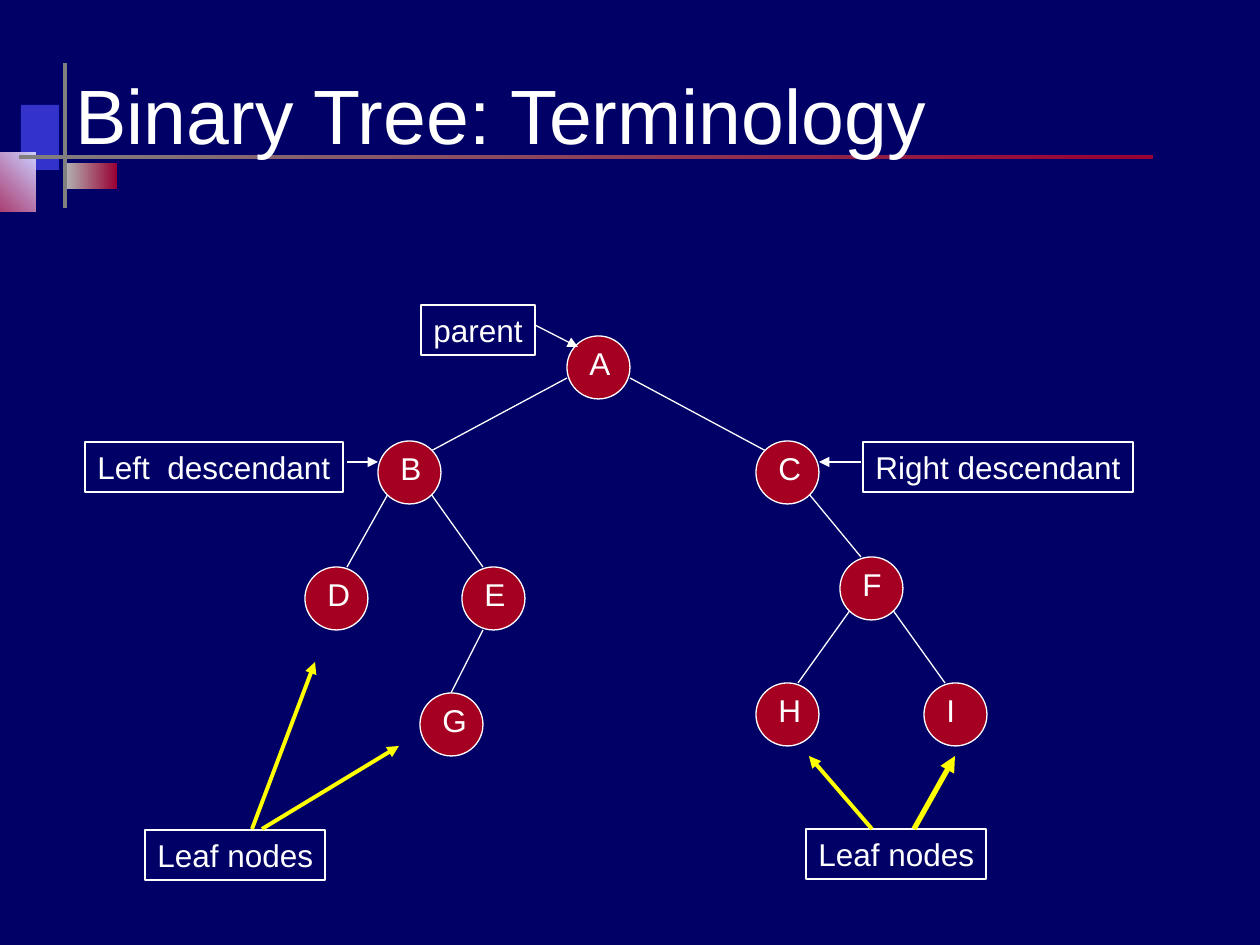
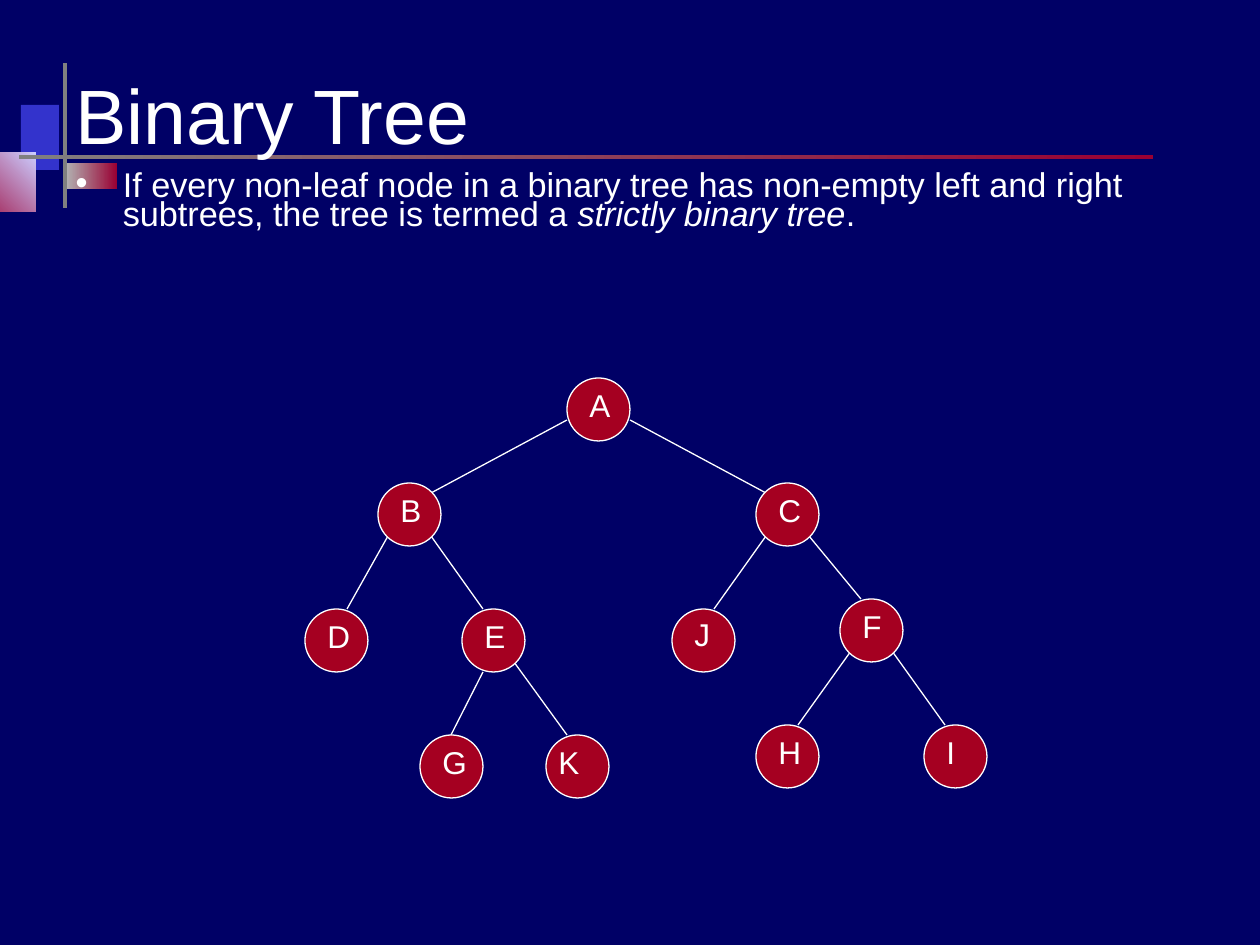
"""Builds two slides on binary trees: terminology and the strictly binary tree."""
from lxml import etree
from pptx import Presentation
from pptx import util as u
from pptx.dml.color import RGBColor
from pptx.enum import shapes, text
from pptx.oxml.ns import qn

PX = 914400 / 126
NAVY = RGBColor(0x00, 0x00, 0x66)
WHITE = RGBColor(0xFF, 0xFF, 0xFF)
CRIMSON = RGBColor(0xA5, 0x00, 0x21)
YELLOW = RGBColor(0xFF, 0xFF, 0x00)
BLUE = RGBColor(0x33, 0x33, 0xCC)
LAVENDER = RGBColor(0xCC, 0xCC, 0xFF)
MAROON = RGBColor(0x99, 0x00, 0x33)
GREY = RGBColor(0x80, 0x80, 0x80)
SILVER = RGBColor(0xB2, 0xB2, 0xB2)

NODE = 63
TREE_NODES = {
    "A": (567, 336), "B": (378, 441), "C": (756, 441),
    "D": (305, 567), "E": (462, 567), "F": (840, 557),
    "G": (420, 693), "H": (756, 683), "I": (924, 683),
}
TREE_EDGES = [
    (567, 378, 431, 451), (630, 378, 766, 451),
    (388, 494, 347, 567), (431, 494, 483, 567),
    (483, 630, 451, 693), (809, 494, 861, 557),
    (851, 609, 798, 683), (892, 609, 945, 683),
]
STRICT_NODES = {"J": (672, 567), "K": (546, 693)}
STRICT_EDGES = [(766, 494, 714, 567), (514, 620, 567, 693)]
LETTER_OFFSETS = {"J": (10, 0), "K": (0, 2)}
ANNOTATIONS = [
    ("parent", 421, 305, 114), ("Left  descendant", 85, 442, 258),
    ("Right descendant", 863, 442, 270),
    ("Leaf nodes", 145, 830, 180), ("Leaf nodes", 806, 829, 180),
]
POINTERS = [
    (535, 325, 578, 347, WHITE, 0.75), (347, 462, 378, 462, WHITE, 0.75),
    (861, 462, 819, 462, WHITE, 0.75),
    (252, 829, 315, 662, YELLOW, 2.25), (262, 829, 399, 746, YELLOW, 2.25),
    (872, 829, 809, 756, YELLOW, 2.25), (914, 829, 955, 756, YELLOW, 3),
]
ORNAMENTS = [
    (21, 105, 38, 65, [BLUE], 0), (66, 163, 51, 26, [SILVER, MAROON], 0),
    (-42, 153, 78, 59, [MAROON, LAVENDER], 45), (63, 63, 4, 145, [GREY], 0),
    (19, 155, 1134, 4, [GREY, MAROON], 0),
]
SLIDES = [
    ("Binary Tree: Terminology", 5, 0, TREE_NODES, TREE_EDGES),
    ("Binary Tree", 1, 42, TREE_NODES | STRICT_NODES, TREE_EDGES + STRICT_EDGES),
]
DEFINITION = [
    ("If every non-leaf node in a binary tree has non-empty left and right "
     "subtrees, the tree is termed a ", False),
    ("strictly binary tree", True), (".", False),
]


def add_run(paragraph, wording, size, italic=False):
    run = paragraph.add_run()
    run.text = wording
    run.font.name = "Arial"
    run.font.size = u.Pt(size)
    run.font.italic = italic
    run.font.color.rgb = WHITE


def add_line(slide, ends, colour=WHITE, width=0.75, arrow=False):
    line = slide.shapes.add_connector(
        shapes.MSO_CONNECTOR.STRAIGHT, *[round(v * PX) for v in ends])
    line.line.color.rgb = colour
    line.line.width = u.Pt(width)
    properties = line.element.spPr
    if arrow:
        etree.SubElement(properties.find(qn("a:ln")), qn("a:tailEnd"), type="triangle")
    etree.SubElement(properties, qn("a:effectLst"))


prs = Presentation()
prs.slide_width, prs.slide_height = round(1260 * PX), round(945 * PX)
master = prs.slide_master
master.background.fill.solid()
master.background.fill.fore_color.rgb = NAVY

deck = []
for heading, layout, drop, nodes, edges in SLIDES:
    slide = prs.slides.add_slide(prs.slide_layouts[layout])
    deck.append(slide)
    title = slide.shapes.title
    title.left, title.top, title.width, title.height = [
        round(v * PX) for v in (63, 51, 1134, 126)]
    title.text_frame.vertical_anchor = text.MSO_ANCHOR.MIDDLE
    title.text_frame.auto_size = text.MSO_AUTO_SIZE.NONE
    title.text_frame.paragraphs[0].alignment = text.PP_ALIGN.LEFT
    add_run(title.text_frame.paragraphs[0], heading, 44)

    for x1, y1, x2, y2 in edges:
        add_line(slide, (x1, y1 + drop, x2, y2 + drop))
    for letter, (x, y) in nodes.items():
        node = slide.shapes.add_shape(
            shapes.MSO_SHAPE.OVAL,
            *[round(v * PX) for v in (x, y + drop, NODE, NODE)])
        node.shadow.inherit = False
        node.fill.solid()
        node.fill.fore_color.rgb = CRIMSON
        node.line.color.rgb = WHITE
        node.line.width = u.Pt(0.75)
        dx, dy = LETTER_OFFSETS.get(letter, (10, 2))
        caption = slide.shapes.add_textbox(
            *[round(v * PX) for v in (x + dx, y + dy + drop, 53, 50)])
        caption.text_frame.word_wrap = True
        add_run(caption.text_frame.paragraphs[0], letter, 18)

terminology, strict = deck

for position, (x, y, w, h, colours, angle) in enumerate(ORNAMENTS):
    ornament = terminology.shapes.add_shape(
        shapes.MSO_SHAPE.RECTANGLE, *[round(v * PX) for v in (x, y, w, h)])
    ornament.shadow.inherit = False
    ornament.line.fill.background()
    if len(colours) == 1:
        ornament.fill.solid()
        ornament.fill.fore_color.rgb = colours[0]
    else:
        ornament.fill.gradient()
        ornament.fill.gradient_angle = angle
        for stop, colour in zip(ornament.fill.gradient_stops, colours):
            stop.color.rgb = colour
    ornament.element.nvSpPr.cNvPr.id = 100 + position
    master.shapes.element.insert(2 + position, ornament.element)

for wording, x, y, w in ANNOTATIONS:
    annotation = terminology.shapes.add_textbox(
        *[round(v * PX) for v in (x, y, w, 50)])
    annotation.line.color.rgb = WHITE
    annotation.line.width = u.Pt(0.75)
    annotation.text_frame.word_wrap = True
    annotation.text_frame.auto_size = text.MSO_AUTO_SIZE.NONE
    annotation.text_frame.margin_right = 0
    add_run(annotation.text_frame.paragraphs[0], wording, 18)
for *ends, colour, width in POINTERS:
    add_line(terminology, ends, colour, width, arrow=True)

definition = strict.placeholders[1]
definition.left, definition.top, definition.width, definition.height = [
    round(v * PX) for v in (63, 168, 1134, 73)]
definition.text_frame.auto_size = text.MSO_AUTO_SIZE.NONE
sentence = definition.text_frame.paragraphs[0]
sentence.line_spacing = 0.7
sentence.space_before = u.Pt(0)
for wording, italic in DEFINITION:
    add_run(sentence, wording, 19.6, italic)

prs.save("out.pptx")
